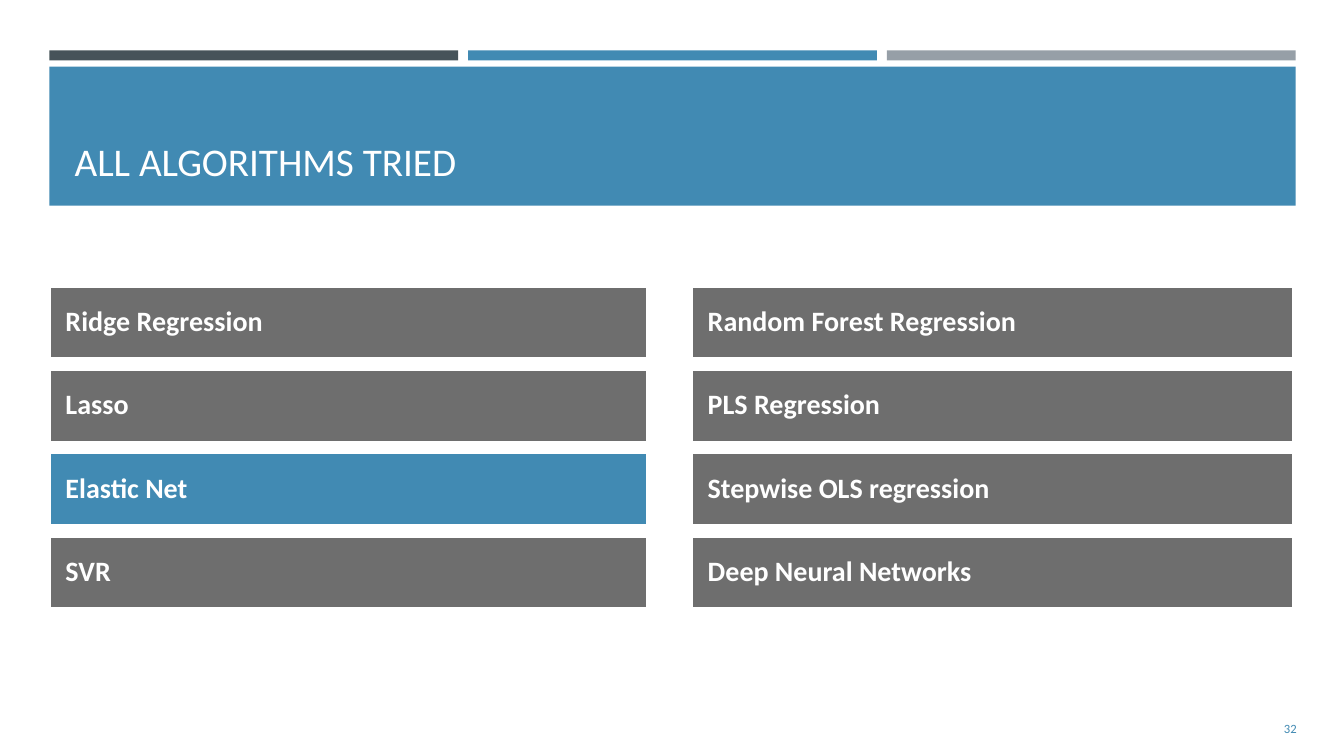
from dataclasses import dataclass

from pptx import Presentation
from pptx.dml.color import RGBColor
from pptx.enum import shapes, text
from pptx.util import Inches, Pt


@dataclass(frozen=True)
class Theme:
    font: str = "Calibri"
    white: RGBColor = RGBColor.from_string("FFFFFF")
    slate: RGBColor = RGBColor.from_string("465359")
    blue: RGBColor = RGBColor.from_string("418AB3")
    silver: RGBColor = RGBColor.from_string("969FA7")
    gray: RGBColor = RGBColor.from_string("6E6E6E")
    title_size: Pt = Pt(28)
    bar_size: Pt = Pt(20)
    number_size: Pt = Pt(9)


THEME = Theme()
CHOSEN = "Elastic Net"
LEFT_ALGORITHMS = ["Ridge Regression", "Lasso", CHOSEN, "SVR"]
RIGHT_ALGORITHMS = ["Random Forest Regression", "PLS Regression",
                    "Stepwise OLS regression", "Deep Neural Networks"]


def add_rectangle(slide, left, top, width, height, color):
    shape = slide.shapes.add_shape(
        shapes.MSO_SHAPE.RECTANGLE,
        Inches(left), Inches(top), Inches(width), Inches(height))
    shape.shadow.inherit = False
    shape.fill.solid()
    shape.fill.fore_color.rgb = color
    shape.line.fill.background()
    return shape


def write(shape, words, size, color, anchor, alignment=text.PP_ALIGN.LEFT, bold=False):
    frame = shape.text_frame
    frame.word_wrap = True
    frame.auto_size = text.MSO_AUTO_SIZE.NONE
    frame.vertical_anchor = anchor
    paragraph = frame.paragraphs[0]
    paragraph.text = words
    paragraph.alignment = alignment
    paragraph.font.name = THEME.font
    paragraph.font.size = size
    paragraph.font.color.rgb = color
    paragraph.font.bold = bold
    return paragraph


def add_header(slide, left, top, width, height):
    """Three accent strips above a colored band that holds the title."""
    gap, strip_height, band_offset = 0.1, 0.1, 0.16
    strip_colors = [THEME.slate, THEME.blue, THEME.silver]
    strip_width = (width - gap * (len(strip_colors) - 1)) / len(strip_colors)
    for index, color in enumerate(strip_colors):
        add_rectangle(slide, left + index * (strip_width + gap), top,
                      strip_width, strip_height, color)
    add_rectangle(slide, left, top + band_offset, width, height - band_offset, THEME.blue)

    title = slide.shapes.title
    title.left, title.top = Inches(left + 0.15), Inches(top + 0.3)
    title.width, title.height = Inches(width - 0.3), Inches(1.08)
    write(title, "ALL ALGORITHMS TRIED", THEME.title_size, THEME.white,
          text.MSO_ANCHOR.BOTTOM)
    # Bring the title in front of the band.
    slide.shapes._spTree.append(title._element)


def add_algorithms(slide, left, top, width, height, algorithms):
    """Evenly spaced bars, with the chosen algorithm highlighted."""
    bar_height = 0.72
    pitch = (height - bar_height) / (len(algorithms) - 1)
    for index, algorithm in enumerate(algorithms):
        color = THEME.blue if algorithm == CHOSEN else THEME.gray
        bar = add_rectangle(slide, left, top + index * pitch, width, bar_height, color)
        bar.line.color.rgb = THEME.white
        bar.line.width = Pt(2)
        frame = bar.text_frame
        frame.margin_left = Inches(0.16)
        frame.margin_top = frame.margin_right = frame.margin_bottom = Inches(0.08)
        paragraph = write(bar, algorithm, THEME.bar_size, THEME.white,
                          text.MSO_ANCHOR.MIDDLE, bold=True)
        paragraph.line_spacing = 0.9


def add_slide_number(slide, left, top, width, height):
    box = slide.shapes.add_textbox(
        Inches(left), Inches(top), Inches(width), Inches(height))
    write(box, "32", THEME.number_size, THEME.blue,
          text.MSO_ANCHOR.MIDDLE, text.PP_ALIGN.RIGHT)


def main():
    presentation = Presentation()
    presentation.slide_width = Inches(13.33)
    presentation.slide_height = Inches(7.5)
    slide = presentation.slides.add_slide(presentation.slide_layouts.get_by_name("Title Only"))
    add_header(slide, 0.49, 0.5, 12.36, 1.54)
    add_algorithms(slide, 0.49, 2.84, 5.93, 3.2, LEFT_ALGORITHMS)
    add_algorithms(slide, 6.86, 2.84, 5.97, 3.2, RIGHT_ALGORITHMS)
    add_slide_number(slide, 11.81, 7.03, 1.15, 0.4)
    presentation.save("out.pptx")


if __name__ == "__main__":
    main()
